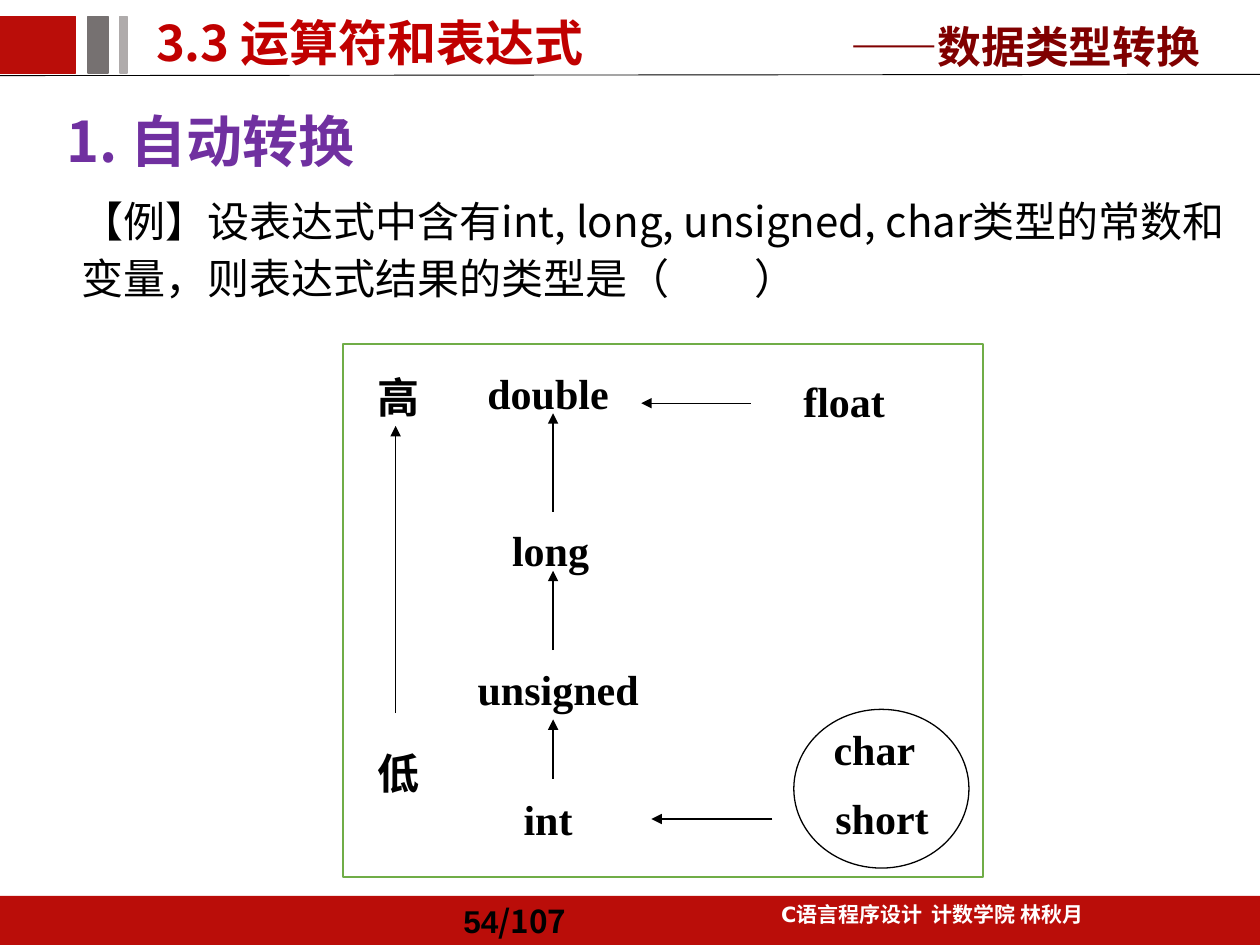
import pptx
import pptx.dml.color
import pptx.enum.shapes
import pptx.enum.text
import pptx.oxml.ns
import pptx.util
from lxml import etree

RGBColor = pptx.dml.color.RGBColor
SHAPE = pptx.enum.shapes.MSO_SHAPE
ALIGN = pptx.enum.text.PP_ALIGN
ANCHOR = pptx.enum.text.MSO_ANCHOR

RED = RGBColor(0xBA, 0x0D, 0x09)
TITLE_RED = RGBColor(0xC0, 0x00, 0x00)
MAROON = RGBColor(0x80, 0x00, 0x00)
PURPLE = RGBColor(0x70, 0x30, 0xA0)
GREEN = RGBColor(0x70, 0xAD, 0x47)
DARK_GRAY = RGBColor(0x76, 0x71, 0x71)
LIGHT_GRAY = RGBColor(0xAF, 0xAB, 0xAB)
BLACK = RGBColor(0, 0, 0)
WHITE = RGBColor(0xFF, 0xFF, 0xFF)

SANS = "Noto Sans CJK SC"
SERIF = "Times New Roman"
WIDTH, HEIGHT = pptx.util.Inches(10), pptx.util.Inches(7.5)
COLUMNS, ROWS = 100, 75
LABEL_HEIGHT = 5
CHAIN_COLUMN = 43.9
SCALE_COLUMN = 31.4


def across(columns):
    return round(WIDTH * columns / COLUMNS)


def down(rows):
    return round(HEIGHT * rows / ROWS)


def place(left, top, width, height):
    return across(left), down(top), across(width), down(height)


def apply(target, values):
    for name, value in values.items():
        setattr(target, name, value)


def add_block(slide, kind, box, fill=None, outline=None, weight=1):
    shape = slide.shapes.add_shape(kind, *place(*box))
    shape.shadow.inherit = False
    if fill is None:
        shape.fill.background()
    else:
        shape.fill.solid()
        shape.fill.fore_color.rgb = fill
    if outline is None:
        shape.line.fill.background()
    else:
        shape.line.color.rgb = outline
        shape.line.width = pptx.util.Pt(weight)


def add_text(slide, box, runs, size, color, bold=True, frame=None, paragraph=None):
    """Add one paragraph; runs are (text, font name) pairs."""
    text_frame = slide.shapes.add_textbox(*place(*box)).text_frame
    apply(text_frame, {"word_wrap": True, **(frame or {})})
    line = text_frame.paragraphs[0]
    apply(line, paragraph or {})
    for text, name in runs:
        run = line.add_run()
        run.text = text
        apply(run.font, {"name": name, "size": pptx.util.Pt(size), "bold": bold})
        run.font.color.rgb = color
        east_asian = etree.SubElement(run.font._element, pptx.oxml.ns.qn("a:ea"))
        east_asian.set("typeface", SANS)


def add_label(slide, text, center, top):
    width = 18
    add_text(slide, (center - width / 2, top, width, LABEL_HEIGHT), [(text, SERIF)], 24, BLACK,
             frame={"vertical_anchor": ANCHOR.MIDDLE}, paragraph={"alignment": ALIGN.CENTER})


def add_line(slide, start, end, weight=0.75, arrow=True):
    connector = slide.shapes.add_connector(
        pptx.enum.shapes.MSO_CONNECTOR.STRAIGHT,
        across(start[0]), down(start[1]), across(end[0]), down(end[1]))
    connector.line.color.rgb = BLACK
    connector.line.width = pptx.util.Pt(weight)
    if arrow:
        tail = etree.SubElement(connector.line._get_or_add_ln(), pptx.oxml.ns.qn("a:tailEnd"))
        tail.set("type", "triangle")
    etree.SubElement(connector._element.spPr, pptx.oxml.ns.qn("a:effectLst"))


def add_banner(slide):
    add_line(slide, (0, 6), (COLUMNS, 5.9), weight=0.5, arrow=False)
    for left, width, color in ((0, 6, RED), (7, 1.6, DARK_GRAY), (9.5, 0.6, LIGHT_GRAY)):
        add_block(slide, SHAPE.RECTANGLE, (left, 1.3, width, 4.5), color, color)
    add_text(slide, (11.4, 0.3, 48.1, 6.6), [("3.3 运算符和表达式", SANS)], 28, TITLE_RED,
             paragraph={"line_spacing": 1.05})
    add_text(slide, (66.5, 1, 33.5, 5.2), [("——数据类型转换", "Arial")], 25, MAROON,
             frame={"vertical_anchor": ANCHOR.BOTTOM})


def add_footer(slide):
    add_block(slide, SHAPE.RECTANGLE, (0, 71.1, COLUMNS, 3.9), RED)
    add_text(slide, (56.3, 71.1, 35.4, 3.4), [("C语言程序设计  计数学院 林秋月", "DejaVu Sans")],
             12, WHITE, paragraph={"alignment": ALIGN.CENTER})
    add_text(slide, (35.8, 71.1, 14.2, 3.9), [("54", "Arial"), ("/107", SANS)], 18, BLACK,
             frame={"vertical_anchor": ANCHOR.MIDDLE})


def add_question(slide):
    spacing = {"line_spacing": 1.13}
    add_text(slide, (4.3, 7.3, 94.9, 8.3), [("1. 自动转换", SANS)], 32, PURPLE, paragraph=spacing)
    question = "【例】设表达式中含有int, long, unsigned, char类型的常数和变量，则表达式结果的类型是（         ）"
    add_text(slide, (5.5, 14.5, 94.5, 14.1), [(question, SANS)], 24, BLACK, bold=False,
             paragraph=spacing)


def add_conversion_diagram(slide):
    add_block(slide, SHAPE.RECTANGLE, (27.2, 27.3, 50.8, 42.3), WHITE, GREEN)
    add_block(slide, SHAPE.OVAL, (63, 56.3, 13.9, 12.6), outline=BLACK, weight=0.75)
    for text, center, top in (
            ("高", 31.6, 29), ("低", 31.6, 58.8),
            ("double", 43.5, 28.7), ("long", 43.7, 41.1),
            ("unsigned", 44.3, 52.2), ("int", 43.5, 62.5),
            ("float", 67, 29.3), ("char", 69.4, 56.9), ("short", 70, 62.4)):
        add_label(slide, text, center, top)
    for column, bottom, top in ((SCALE_COLUMN, 56.6, 33.8), (CHAIN_COLUMN, 61.8, 57.1),
                                (CHAIN_COLUMN, 51.6, 45.3), (CHAIN_COLUMN, 40.6, 32.8)):
        add_line(slide, (column, bottom), (column, top))
    for right, left, row in ((61.3, 51.7, 65), (59.6, 50.9, 32)):
        add_line(slide, (right, row), (left, row))


def main():
    presentation = pptx.Presentation()
    apply(presentation, {"slide_width": WIDTH, "slide_height": HEIGHT})
    slide = presentation.slides.add_slide(presentation.slide_layouts[6])
    add_footer(slide)
    add_banner(slide)
    add_question(slide)
    add_conversion_diagram(slide)
    presentation.save("out.pptx")


if __name__ == "__main__":
    main()
